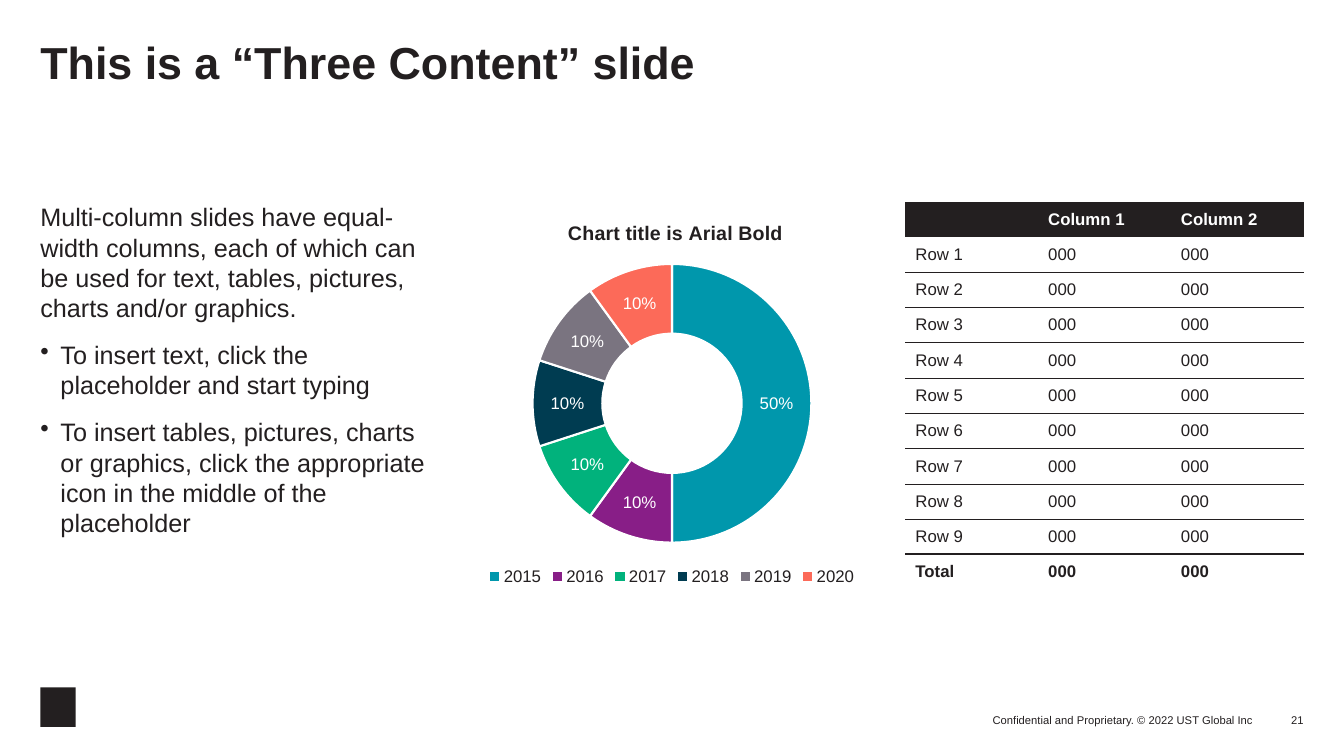
from dataclasses import dataclass

from lxml.etree import SubElement
from pptx import Presentation
from pptx.chart.data import CategoryChartData
from pptx.dml.color import RGBColor
from pptx.enum.chart import XL_CHART_TYPE as ChartType, XL_LEGEND_POSITION as LegendPosition
from pptx.enum.shapes import MSO_SHAPE as Preset
from pptx.enum.text import MSO_ANCHOR as Anchor, MSO_AUTO_SIZE as AutoSize, PP_ALIGN as Align
from pptx.oxml import parse_xml
from pptx.oxml.ns import nsdecls, qn
from pptx.util import Pt


@dataclass(frozen=True)
class Theme:
    font: str = "Arial"
    ink: str = "231F20"
    paper: str = "FFFFFF"
    slices: tuple = ("0097AC", "881E87", "01B27C", "003C51", "7A7480", "FC6A59")
    title: int = 32
    body: int = 18
    chart_title: int = 14
    small: int = 12
    footer: int = 8


theme = Theme()
PX = 9144
MARGIN, COLUMN_TOP, COLUMN_WIDTH, COLUMN_STEP = 40, 200, 395, 429
CONTENT_HEIGHT = 385


def set_font(font, size, color=theme.ink, bold=False):
    font.name = theme.font
    font.size = Pt(size)
    font.bold = bold
    font.color.rgb = RGBColor.from_string(color)


def clear_frame(frame, anchor):
    frame.margin_left = frame.margin_top = frame.margin_right = frame.margin_bottom = 0
    frame.auto_size = AutoSize.NONE
    frame.word_wrap = True
    frame.vertical_anchor = anchor


presentation = Presentation()
presentation.slide_width = 1333 * PX
presentation.slide_height = 750 * PX
slide = presentation.slides.add_slide(presentation.slide_layouts[5])
shapes = slide.shapes

title = shapes.title
title.left, title.top, title.width, title.height = 40 * PX, 40 * PX, 1253 * PX, 100 * PX
clear_frame(title.text_frame, Anchor.TOP)
title.text_frame.text = "This is a “Three Content” slide"
paragraph = title.text_frame.paragraphs[0]
paragraph.alignment = Align.LEFT
paragraph.line_spacing = 0.9
set_font(paragraph.font, theme.title, bold=True)

body = shapes.add_textbox(MARGIN * PX, COLUMN_TOP * PX, COLUMN_WIDTH * PX, 465 * PX)
clear_frame(body.text_frame, Anchor.TOP)
body.text_frame.text = "\n".join([
    "Multi-column slides have equal-width columns, each of which can be used for text, "
    "tables, pictures, charts and/or graphics.",
    "To insert text, click the placeholder and start typing",
    "To insert tables, pictures, charts or graphics, click the appropriate icon "
    "in the middle of the placeholder",
])
for index, paragraph in enumerate(body.text_frame.paragraphs):
    if index:
        properties = paragraph._p.get_or_add_pPr()
        properties.set("marL", str(20 * PX))
        properties.set("indent", str(-20 * PX))
        SubElement(properties, qn("a:buChar")).set("char", "•")
        paragraph.space_before = Pt(12)
    set_font(paragraph.font, theme.body)

chart_data = CategoryChartData(number_format="0%")
chart_data.categories = ["2015", "2016", "2017", "2018", "2019", "2020"]
chart_data.add_series("Series 1", [0.5] + [0.1] * 5)
chart = shapes.add_chart(
    ChartType.DOUGHNUT, (MARGIN + COLUMN_STEP) * PX, COLUMN_TOP * PX,
    COLUMN_WIDTH * PX, CONTENT_HEIGHT * PX, chart_data,
).chart
set_font(chart.font, theme.small)
chart.has_title = True
chart.chart_title.text_frame.text = "Chart title is Arial Bold"
set_font(chart.chart_title.text_frame.paragraphs[0].font, theme.chart_title, bold=True)
chart.chart_title.include_in_layout = False
chart.has_legend = True
chart.legend.position = LegendPosition.BOTTOM
chart.legend.include_in_layout = False
set_font(chart.legend.font, theme.small)

plot = chart.plots[0]
plot.vary_by_categories = True
plot.has_data_labels = True
labels = plot.data_labels
labels.show_value = True
labels.show_percentage = False
labels.number_format = "0%"
labels.number_format_is_linked = False
set_font(labels.font, theme.small, theme.paper)
for index, color in enumerate(theme.slices):
    point = plot.series[0].points[index].format
    point.fill.solid()
    point.fill.fore_color.rgb = RGBColor.from_string(color)
    point.line.color.rgb = RGBColor.from_string(theme.paper)
    point.line.width = Pt(1.5)

chart_space = chart.element
chart_space.find(".//" + qn("c:holeSize")).set("val", "50")
plot_area = chart_space.find(".//" + qn("c:plotArea"))
for layout in plot_area.findall(qn("c:layout")):
    plot_area.remove(layout)
plot_area.insert(0, parse_xml(
    f'<c:layout {nsdecls("c")}><c:manualLayout><c:layoutTarget val="inner"/>'
    '<c:xMode val="edge"/><c:yMode val="edge"/><c:x val="0.15"/><c:y val="0.16"/>'
    '<c:w val="0.7"/><c:h val="0.72"/></c:manualLayout></c:layout>'))
chart_title = chart_space.find(".//" + qn("c:title"))
for layout in chart_title.findall(qn("c:layout")):
    chart_title.remove(layout)
chart_title.find(qn("c:tx")).addnext(parse_xml(
    f'<c:layout {nsdecls("c")}><c:manualLayout><c:xMode val="edge"/><c:yMode val="edge"/>'
    '<c:x val="0.23"/><c:y val="0.04"/></c:manualLayout></c:layout>'))

rows = [["", "Column 1", "Column 2"]]
rows += [[f"Row {number}", "000", "000"] for number in range(1, 10)]
rows += [["Total", "000", "000"]]
total_row = len(rows) - 1
table_frame = shapes.add_table(
    len(rows), 3, (MARGIN + 2 * COLUMN_STEP) * PX, COLUMN_TOP * PX,
    COLUMN_WIDTH * PX, CONTENT_HEIGHT * PX)
table = table_frame.table
table.horz_banding = False
table_frame.element.find(".//" + qn("a:tableStyleId")).text = "{2D5ABB26-0587-4C30-8999-92F81FD0307C}"
for row_index, row in enumerate(rows):
    header, total = row_index == 0, row_index == total_row
    for column_index, text in enumerate(row):
        cell = table.cell(row_index, column_index)
        cell.text = text
        cell.vertical_anchor = Anchor.MIDDLE
        cell.margin_left = cell.margin_right = 10 * PX
        cell.margin_top = cell.margin_bottom = 0
        set_font(cell.text_frame.paragraphs[0].font, theme.small,
                 theme.paper if header else theme.ink, header or total)
        borders = {}
        if row_index > 1:
            borders["lnT"] = 1.5 if total else 0.5
        if 0 < row_index < total_row:
            borders["lnB"] = 1.5 if row_index == total_row - 1 else 0.5
        for side, width in borders.items():
            cell._tc.get_or_add_tcPr().append(parse_xml(
                f'<a:{side} {nsdecls("a")} w="{Pt(width)}"><a:solidFill>'
                f'<a:srgbClr val="{theme.ink}"/></a:solidFill></a:{side}>'))
        if header:
            cell.fill.solid()
            cell.fill.fore_color.rgb = RGBColor.from_string(theme.ink)
        else:
            cell.fill.background()

logo_block = shapes.add_shape(Preset.RECTANGLE, 40 * PX, 682 * PX, 35 * PX, 39 * PX)
logo_block.shadow.inherit = False
logo_block.fill.solid()
logo_block.fill.fore_color.rgb = RGBColor.from_string(theme.ink)
logo_block.line.fill.background()

for text, left, top, width, height in [
    ("Confidential and Proprietary. © 2022 UST Global Inc", 899, 701, 344, 20),
    ("21", 1243, 691, 50, 30),
]:
    footer = shapes.add_textbox(left * PX, top * PX, width * PX, height * PX)
    clear_frame(footer.text_frame, Anchor.BOTTOM)
    footer.text_frame.text = text
    paragraph = footer.text_frame.paragraphs[0]
    paragraph.alignment = Align.RIGHT
    set_font(paragraph.font, theme.footer)

presentation.save("out.pptx")
